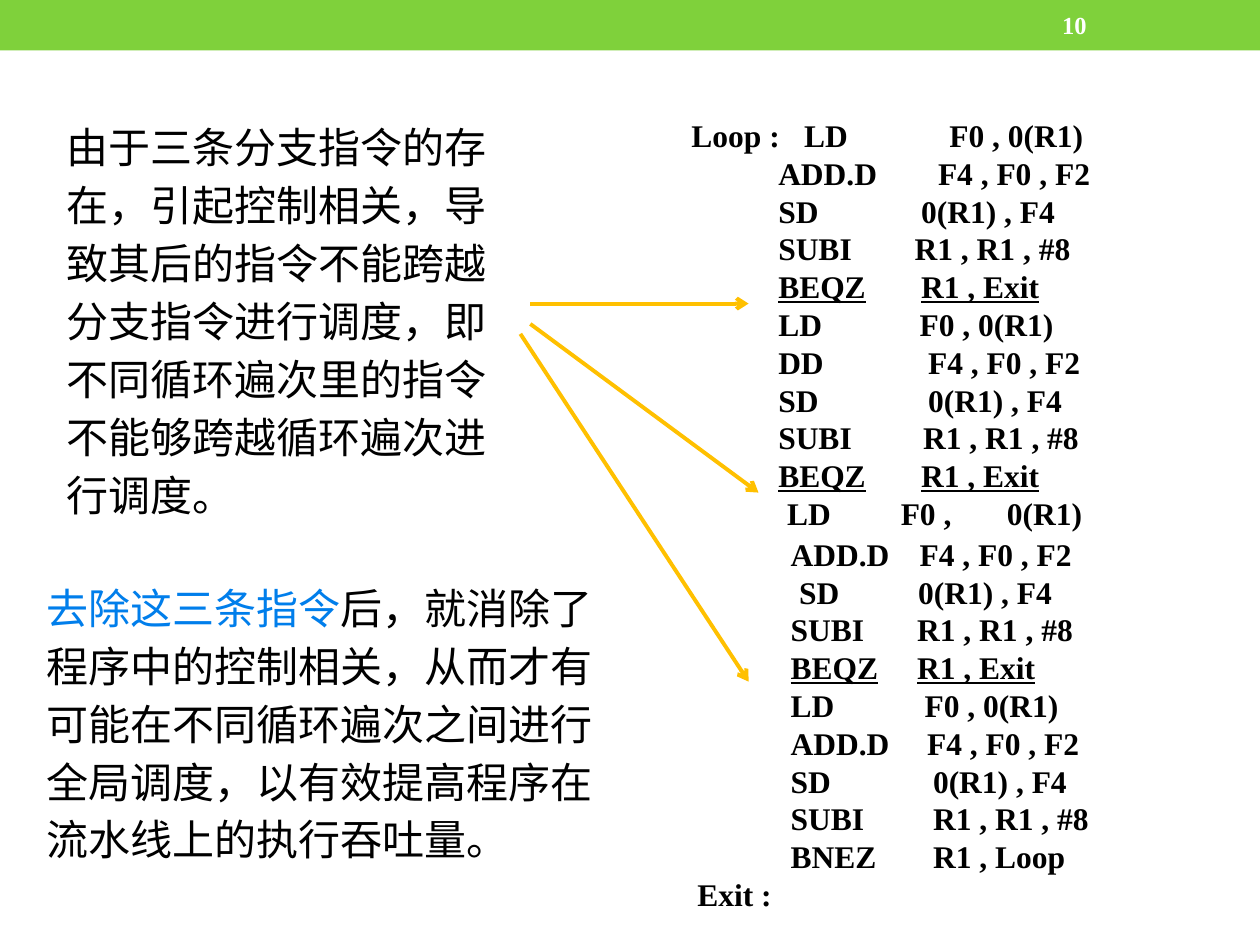
from lxml.etree import SubElement
from pptx import Presentation
from pptx.dml.color import RGBColor
from pptx.enum.shapes import MSO_CONNECTOR as Connector, MSO_SHAPE as Shape
from pptx.enum.text import MSO_ANCHOR as Anchor
from pptx.oxml.ns import qn
from pptx.util import Cm, Pt

# Content
LATIN, CHINESE = "Times New Roman", "Noto Sans CJK SC"
BLACK, WHITE, GREEN, BLUE, AMBER = "000000", "FFFFFF", "7FD13B", "007EEB", "FFC000"
PAGE_NUMBER = "10"

# Box (left, top, width, height in cm) and coloured pieces of text
EXPLANATIONS = [
    ((1.09, 2.13, 9.4, 8.51), [
        ("由于三条分支指令的存在，引起控制相关，导致其后的指令不能跨越分支指令进行调度，"
         "即不同循环遍次里的指令不能够跨越循环遍次进行调度。", BLACK)]),
    ((0.69, 11.33, 12.29, 6.35), [
        ("去除这三条指令", BLUE),
        ("后，就消除了程序中的控制相关，从而才有可能在不同循环遍次之间进行全局调度，"
         "以有效提高程序在流水线上的执行吞吐量。", BLACK)]),
]

# Each line of code: label, columns as (text, tab stop in cm)
CODE_LEFT, CODE_WIDTH = 13.94, 8.4
CODE_BLOCKS = [
    (2.21, 8.64, [
        ("Loop :", [("LD", 2.27), ("F0 , 0(R1)", 5.2)]),
        ("", [("ADD.D", 1.75), ("F4 , F0 , F2", 4.97)]),
        ("", [("SD", 1.75), ("0(R1) , F4", 4.63)]),
        ("", [("SUBI", 1.75), ("R1 , R1 , #8", 4.5)]),
        ("", [("BEQZ", 1.75), ("R1 , Exit", 4.63)]),
        ("", [("LD", 1.75), ("F0 , 0(R1)", 4.6)]),
        ("", [("DD", 1.75), ("F4 , F0 , F2", 4.77)]),
        ("", [("SD", 1.75), ("0(R1) , F4", 4.77)]),
        ("", [("SUBI", 1.75), ("R1 , R1 , #8", 4.67)]),
        ("", [("BEQZ", 1.75), ("R1 , Exit", 4.63)]),
        ("", [("LD", 1.93), ("F0 ,", 4.22), ("0(R1)", 6.36)]),
    ]),
    (10.6, 7.98, [
        ("", [("ADD.D", 2), ("F4 , F0 , F2", 4.6)]),
        ("", [("SD", 2.17), ("0(R1) , F4", 4.57)]),
        ("", [("SUBI", 2), ("R1 , R1 , #8", 4.55)]),
        ("", [("BEQZ", 2), ("R1 , Exit", 4.55)]),
        ("", [("LD", 2), ("F0 , 0(R1)", 4.7)]),
        ("", [("ADD.D", 2), ("F4 , F0 , F2", 4.75)]),
        ("", [("SD", 2), ("0(R1) , F4", 4.87)]),
        ("", [("SUBI", 2), ("R1 , R1 , #8", 4.87)]),
        ("", [("BNEZ", 2), ("R1 , Loop", 4.87)]),
        ("", [("Exit :", 0.12)]),
    ]),
]
REMOVED_BRANCH = "BEQZ"

# Arrows to the removed branches: x1, y1, x2, y2 in cm
ARROWS = [(10.69, 6.12, 15.09, 6.12),
          (10.69, 6.53, 15.29, 9.93),
          (10.49, 6.73, 15.09, 13.74)]


def rgb(hex_color):
    return RGBColor.from_string(hex_color)


def add_text_frame(slide, box, inset=0.0):
    frame = slide.shapes.add_textbox(*map(Cm, box)).text_frame
    frame.word_wrap = True
    frame.vertical_anchor = Anchor.MIDDLE
    frame.margin_left = frame.margin_right = Cm(inset)
    return frame


def add_run(paragraph, text, size, color, font=LATIN, bold=False, underline=False):
    run = paragraph.add_run()
    run.text = text
    run.font.size, run.font.name = Pt(size), font
    run.font.bold, run.font.underline = bold, underline
    run.font.color.rgb = rgb(color)
    SubElement(run.font._element, qn("a:ea"), typeface=font)


def add_code_line(paragraph, label, columns):
    tab_stops = SubElement(paragraph._p.get_or_add_pPr(), qn("a:tabLst"))
    for _, stop in columns:
        SubElement(tab_stops, qn("a:tab"), pos=str(Cm(stop)), algn="l")
    instruction = "\t".join(text for text, _ in columns)
    add_run(paragraph, label + "\t", 18, BLACK, bold=True)
    add_run(paragraph, instruction, 18, BLACK, bold=True,
            underline=instruction.startswith(REMOVED_BRANCH))


def add_arrow(slide, ends):
    arrow = slide.shapes.add_connector(Connector.STRAIGHT, *map(Cm, ends))
    arrow.line.color.rgb = rgb(AMBER)
    arrow.line.width = Pt(2.25)
    SubElement(arrow.line._get_or_add_ln(), qn("a:tailEnd"), type="arrow")
    SubElement(arrow._element.spPr, qn("a:effectLst"))


def main():
    deck = Presentation()
    deck.slide_width, deck.slide_height = Cm(25.4), Cm(19.05)
    slide = deck.slides.add_slide(deck.slide_layouts[6])

    # Header band and page number
    band = slide.shapes.add_shape(Shape.RECTANGLE, 0, 0, deck.slide_width, Cm(1.02))
    band.shadow.inherit = False
    band.fill.solid()
    band.fill.fore_color.rgb = rgb(GREEN)
    band.line.fill.background()
    number = add_text_frame(slide, (21.16, 0.05, 2.97, 0.91), 0.25)
    add_run(number.paragraphs[0], PAGE_NUMBER, 14, WHITE, bold=True)

    # Code listing
    for top, height, lines in CODE_BLOCKS:
        listing = add_text_frame(slide, (CODE_LEFT, top, CODE_WIDTH, height))
        for i, (label, columns) in enumerate(lines):
            paragraph = listing.add_paragraph() if i else listing.paragraphs[0]
            add_code_line(paragraph, label, columns)

    # Explanations
    for box, pieces in EXPLANATIONS:
        paragraph = add_text_frame(slide, box, 0.25).paragraphs[0]
        paragraph.line_spacing = 1.15
        for text, color in pieces:
            add_run(paragraph, text, 24, color, CHINESE)

    # Arrows
    for ends in ARROWS:
        add_arrow(slide, ends)

    deck.save("out.pptx")


if __name__ == "__main__":
    main()
